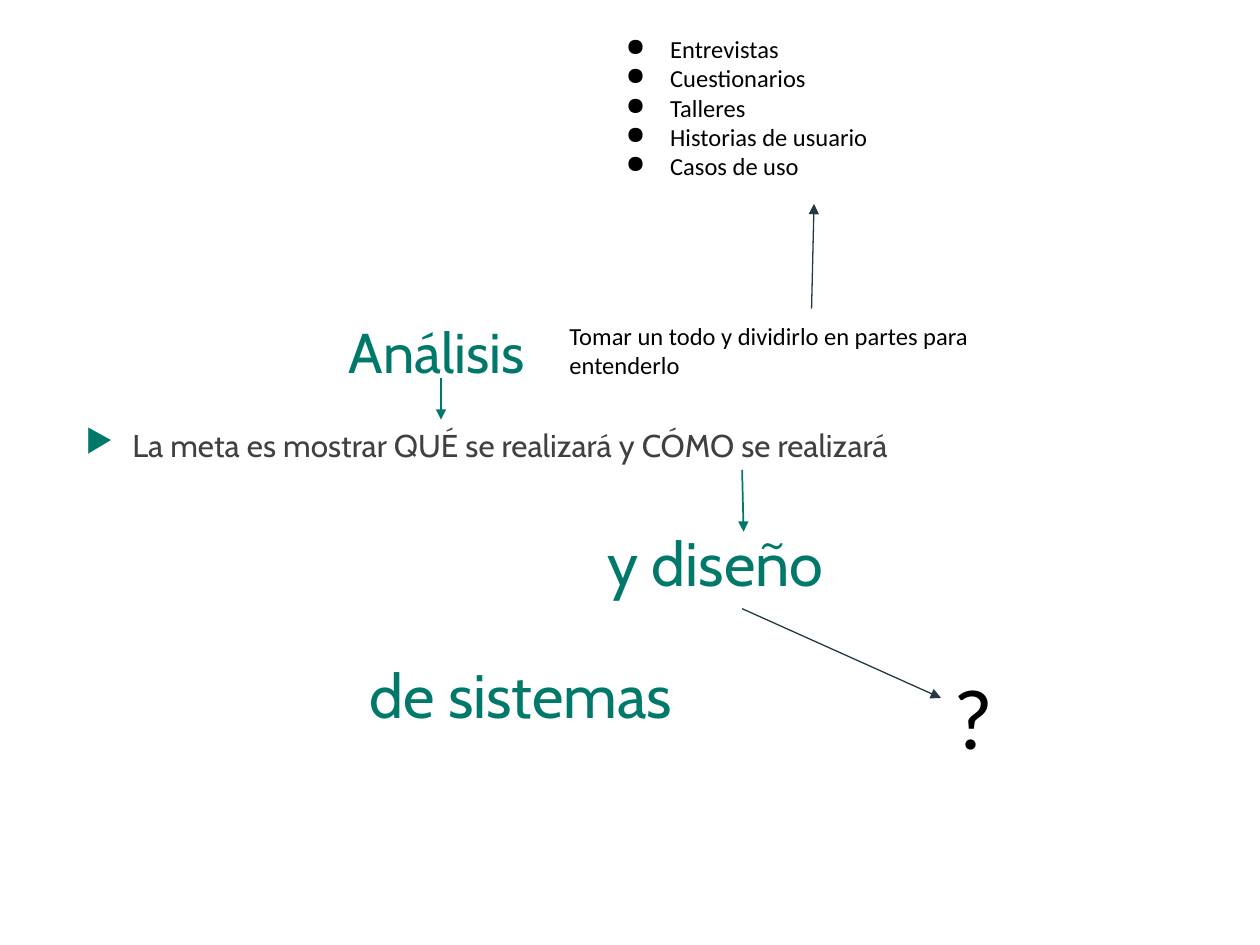
from collections import namedtuple

from lxml.etree import SubElement
from pptx import Presentation
from pptx.dml.color import RGBColor
from pptx.enum.shapes import MSO_CONNECTOR
from pptx.enum.text import MSO_ANCHOR as Anchor
from pptx.oxml.ns import qn
from pptx.util import Cm, Pt

TEAL = RGBColor(0x00, 0x79, 0x6B)
SLATE = RGBColor(0x23, 0x3A, 0x44)
GRAY = RGBColor(0x40, 0x40, 0x40)
BLACK = RGBColor(0x00, 0x00, 0x00)

Box = namedtuple("Box", "left top width height")
Bullet = namedtuple("Bullet", "mark color indent hanging")

HEADING = {"name": "Cabin", "size": Pt(32)}
LARGE_HEADING = {"name": "Cabin", "size": Pt(35)}
GOAL = {"name": "Cabin", "size": Pt(18)}
NOTE = {"name": "Calibri", "size": Pt(14)}
QUESTION = {"name": "Calibri", "size": Pt(49)}


def inner(box, left, top, width, height):
    """Turn a box relative to a region into one on the slide."""
    return Box(box.left + left, box.top + top, width, height)


def add_bullet(paragraph, bullet):
    properties = paragraph._p.get_or_add_pPr()
    properties.set("marL", str(Cm(bullet.indent)))
    properties.set("indent", str(-Cm(bullet.hanging)))
    color = SubElement(properties, qn("a:buClr"))
    SubElement(color, qn("a:srgbClr"), val=str(bullet.color))
    SubElement(properties, qn("a:buChar"), char=bullet.mark)


def add_text(slide, box, lines, font, color, inset=0.13, anchor=Anchor.TOP,
             spacing=None, bullet=None):
    frame = slide.shapes.add_textbox(*map(Cm, box)).text_frame
    frame_format = {
        "word_wrap": True, "vertical_anchor": anchor,
        "margin_left": Cm(0.25), "margin_right": Cm(0.25),
        "margin_top": Cm(inset), "margin_bottom": Cm(inset),
    }
    for key, value in frame_format.items():
        setattr(frame, key, value)
    frame.text = "\n".join(lines)
    for paragraph in frame.paragraphs:
        if spacing:
            paragraph.line_spacing = spacing
        if bullet:
            add_bullet(paragraph, bullet)
        for run in paragraph.runs:
            for key, value in font.items():
                setattr(run.font, key, value)
            run.font.color.rgb = color


def add_arrow(slide, box, start, end, color, weight):
    """Draw an arrow between two points relative to the region's box."""
    ends = [Cm(origin + offset) for point in (start, end)
            for origin, offset in zip((box.left, box.top), point)]
    arrow = slide.shapes.add_connector(MSO_CONNECTOR.STRAIGHT, *ends)
    arrow.line.color.rgb = color
    arrow.line.width = Pt(weight)
    SubElement(arrow.line._get_or_add_ln(), qn("a:tailEnd"), type="triangle")
    SubElement(arrow._element.spPr, qn("a:effectLst"))


def add_techniques(slide, box):
    techniques = ["Entrevistas", "Cuestionarios", "Talleres",
                  "Historias de usuario", "Casos de uso"]
    add_text(slide, inner(box, 0, 0, box.width, 3.48), techniques, NOTE, BLACK,
             inset=0.25, bullet=Bullet("●", BLACK, 1.27, 0.89))
    add_arrow(slide, box, (4.37, box.height), (4.42, 3.68), SLATE, 0.75)


def add_analysis(slide, box):
    heading_width, row_height = 4.45, 1.7
    add_text(slide, inner(box, 0, 0, heading_width, row_height),
             ["Análisis"], HEADING, TEAL, anchor=Anchor.MIDDLE)
    add_text(slide, inner(box, heading_width, 0, box.width - heading_width, row_height),
             ["Tomar un todo y dividirlo en partes para entenderlo"],
             NOTE, BLACK, inset=0.25)
    add_arrow(slide, box, (2.11, 1.4), (2.11, box.height), TEAL, 1)


def add_goal(slide, box):
    add_text(slide, box, ["La meta es mostrar QUÉ se realizará y CÓMO se realizará"],
             GOAL, GRAY, bullet=Bullet("▶", TEAL, 0.95, 0.95))
    add_arrow(slide, box, (13.49, 1.01), (13.52, 2.26), TEAL, 1)


def add_design(slide, box):
    headings = {"y diseño": (4.8, 0, 5.92, 1.7),
                "de sistemas": (0, 2.66, 9.73, 1.7)}
    for heading, place in headings.items():
        add_text(slide, inner(box, *place), [heading], LARGE_HEADING, TEAL,
                 anchor=Anchor.MIDDLE, spacing=0.9)
    question_left = box.width - 0.99
    add_text(slide, inner(box, question_left, 2.56, 0.99, 1.91), ["?"],
             QUESTION, BLACK, inset=0.25)
    add_arrow(slide, box, (7.77, 1.7), (question_left, 3.5), SLATE, 0.75)


def main():
    deck = Presentation()
    deck.slide_width, deck.slide_height = Cm(25.4), Cm(19.05)
    slide = deck.slides.add_slide(deck.slide_layouts[6])
    add_techniques(slide, Box(11.99, 0.43, 9.5, 5.79))
    add_analysis(slide, Box(6.78, 6.22, 14.71, 2.24))
    add_goal(slide, Box(1.47, 8.46, 22.86, 3.28))
    add_design(slide, Box(7.19, 10.57, 12.77, 4.47))
    deck.save("out.pptx")


if __name__ == "__main__":
    main()
